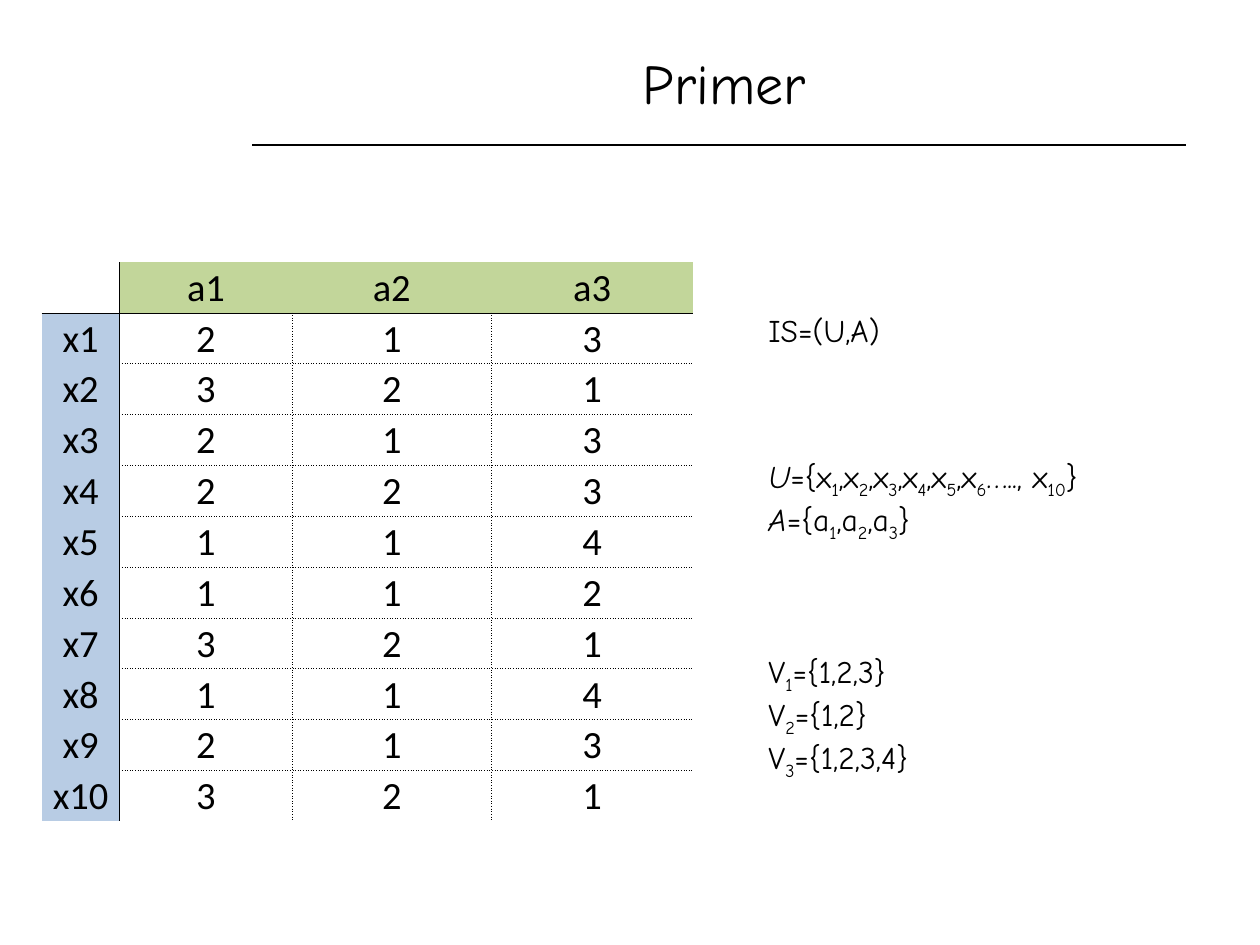
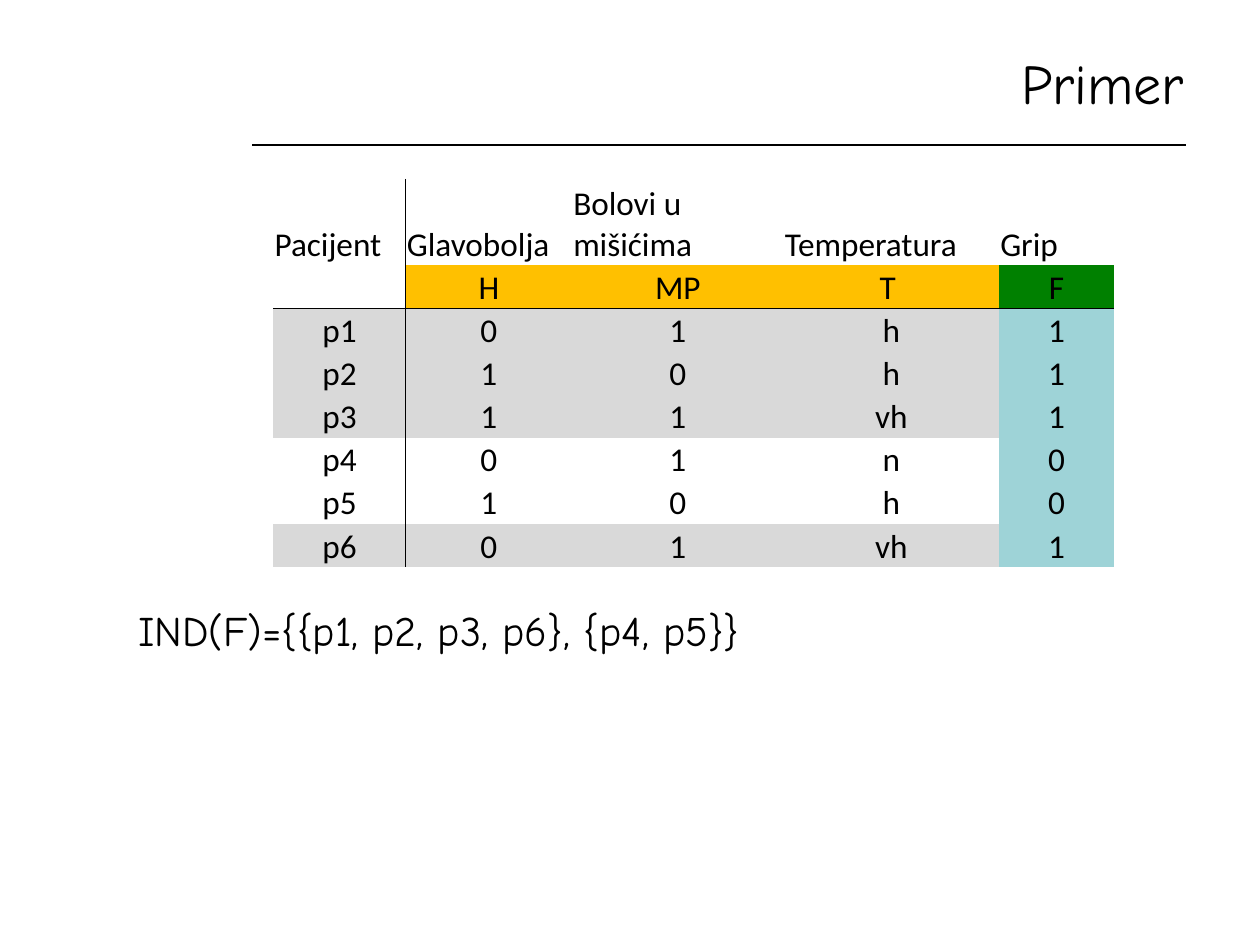
import lxml.etree
import pptx
import pptx.dml.color
import pptx.enum.shapes
import pptx.enum.text
import pptx.oxml.ns
import pptx.util

Inches, Pt = pptx.util.Inches, pptx.util.Pt
ALIGN, ANCHOR = pptx.enum.text.PP_ALIGN, pptx.enum.text.MSO_ANCHOR
qn = pptx.oxml.ns.qn

COLORS = {
    "ink": "000000", "attribute": "C2D69A", "object": "B8CCE4", "symptom": "FFC000",
    "decision": "008000", "sick": "D9D9D9", "flu": "9ED3D7",
}
HAND_FONT, TABLE_FONT = "Comic Neue", "Calibri"
PLAIN_TABLE = "{2D5ABB26-0587-4C30-8999-92F81FD0307C}"
TITLE_BOX = (2, 0.28, 7.5, 0.75)

SYSTEM = [
    ["", "a1", "a2", "a3"],
    *([f"x{number}", *values] for number, values in enumerate(
        ["213", "321", "213", "223", "114", "112", "321", "114", "213", "321"], 1)),
]
PATIENTS = [
    ["Pacijent", "Glavobolja", "Bolovi u mišićima", "Temperatura", "Grip"],
    ["", "H", "MP", "T ", "F"],
    ["p1", "0", "1", "h", "1"],
    ["p2", "1", "0", "h", "1"],
    ["p3", "1", "1", "vh", "1"],
    ["p4", "0", "1", "n", "0"],
    ["p5", "1", "0", "h", "0"],
    ["p6", "0", "1", "vh", "1"],
]
FORMULAS = [
    (0, "", "IS=(U,A)"),
    (62, "U", "={x_1_,x_2_,x_3_,x_4_,x_5_,x_6_….., x_10_}"),
    (0, "A", "={a_1_,a_2_,a_3_}"),
    (62, "", "V_1_={1,2,3}"),
    (0, "", "V_2_={1,2}"),
    (0, "", "V_3_={1,2,3,4}"),
]


def rgb(name):
    """Return the named colour."""
    return pptx.dml.color.RGBColor.from_string(COLORS[name])


def add_run(paragraph, text, size, font=HAND_FONT):
    """Add one formatted run and return it."""
    run = paragraph.add_run()
    run.text = text
    run.font.size, run.font.name = Pt(size), font
    run.font.color.rgb = rgb("ink")
    return run


def add_formula(paragraph, symbol, formula, size):
    """Write an italic symbol and a formula whose subscripts stand between underscores."""
    if symbol:
        add_run(paragraph, symbol, size).font.italic = True
    for index, part in enumerate(formula.split("_")):
        run = add_run(paragraph, part, size)
        if index % 2:
            run._r.get_or_add_rPr().set("baseline", "-25000")


def add_titled_slide(deck, align):
    """Add a slide with the shared title and the rule below it."""
    slide = deck.slides.add_slide(deck.slide_layouts[5])
    rule = slide.shapes.add_connector(
        pptx.enum.shapes.MSO_CONNECTOR.STRAIGHT,
        Inches(2), Inches(1.15), Inches(9.41), Inches(1.15))
    rule.line.color.rgb, rule.line.width = rgb("ink"), Pt(0.75)
    lxml.etree.SubElement(rule._element.spPr, qn("a:effectLst"))
    title = slide.shapes.title
    title.left, title.top, title.width, title.height = map(Inches, TITLE_BOX)
    title.text_frame.vertical_anchor = ANCHOR.MIDDLE
    heading = title.text_frame.paragraphs[0]
    heading.alignment = align
    add_run(heading, "Primer", 32)
    return slide


def set_borders(cell, dashes):
    """Draw the left, right, top and bottom edges that have a dash style."""
    properties = cell._tc.get_or_add_tcPr()
    for side, dash in zip("LRTB", dashes):
        edge = lxml.etree.SubElement(properties, qn(f"a:ln{side}"), w=str(Pt(0.5)))
        if not dash:
            lxml.etree.SubElement(edge, qn("a:noFill"))
            continue
        fill = lxml.etree.SubElement(edge, qn("a:solidFill"))
        lxml.etree.SubElement(fill, qn("a:srgbClr"), val=COLORS["ink"])
        lxml.etree.SubElement(edge, qn("a:prstDash"), val=dash)


def add_data_table(slide, box, rows, widths, units, size, anchor, headers, inner, fill_of, align_of):
    """Fill a table with solid header edges and the given inner edges."""
    table = slide.shapes.add_table(len(rows), len(widths), *map(Inches, box)).table
    table._tbl.tblPr.find(qn("a:tableStyleId")).text = PLAIN_TABLE
    table.first_row = table.horz_banding = False
    for column, width in zip(table.columns, widths):
        column.width = Inches(width)
    for row, unit in zip(table.rows, units):
        row.height = Inches(box[3] * unit / sum(units))

    def vertical(r, c):
        """Return the dash right of a cell."""
        if c == 0:
            return "solid"
        return inner if 0 < c < len(widths) - 1 and r >= headers else None

    def horizontal(r, c):
        """Return the dash below a cell."""
        if r == headers - 1:
            return "solid"
        return inner if headers <= r < len(rows) - 1 and c > 0 else None

    for r, values in enumerate(rows):
        for c, text in enumerate(values):
            cell = table.cell(r, c)
            cell.margin_left = cell.margin_right = cell.margin_top = Inches(0.01)
            cell.margin_bottom = 0
            cell.vertical_anchor = anchor
            set_borders(cell, (vertical(r, c - 1), vertical(r, c),
                               horizontal(r - 1, c), horizontal(r, c)))
            color = fill_of(r, c)
            if color:
                cell.fill.solid()
                cell.fill.fore_color.rgb = rgb(color)
            else:
                cell.fill.background()
            paragraph = cell.text_frame.paragraphs[0]
            paragraph.alignment = align_of(r)
            if text:
                add_run(paragraph, text, size, TABLE_FONT)


def add_formulas(slide, box, formulas, size):
    """Write one formula per paragraph, each with its space before."""
    frame = slide.shapes.add_textbox(*map(Inches, box)).text_frame
    frame.word_wrap = True
    for index, (space, symbol, formula) in enumerate(formulas):
        paragraph = frame.add_paragraph() if index else frame.paragraphs[0]
        paragraph.space_before = Pt(space)
        add_formula(paragraph, symbol, formula, size)


def system_fill(r, c):
    """Colour the attribute row and the object column."""
    if r == 0:
        return "attribute" if c else None
    return None if c else "object"


def patient_fill(r, c):
    """Colour the symbols, the decision column and the patients with flu."""
    if r == 0 or (r == 1 and c == 0):
        return None
    if c == 4:
        return "decision" if r == 1 else "flu"
    if r == 1:
        return "symptom"
    return "sick" if PATIENTS[r][4] == "1" else None


def add_system_slide(deck):
    """Show the information system and its sets."""
    slide = add_titled_slide(deck, ALIGN.CENTER)
    add_data_table(slide, (0.33, 2.08, 5.17, 4.44), SYSTEM, (0.62, 1.37, 1.58, 1.6),
                   [1] * len(SYSTEM), 22, ANCHOR.MIDDLE, 1, "sysDot", system_fill,
                   lambda r: ALIGN.CENTER)
    add_formulas(slide, (6, 2.42, 3.58, 3.74), FORMULAS, 18)


def add_patients_slide(deck):
    """Show the patients and the classes by decision."""
    slide = add_titled_slide(deck, ALIGN.RIGHT)
    add_data_table(slide, (2.17, 1.42, 6.67, 3.08), PATIENTS, (1.05, 1.32, 1.68, 1.71, 0.91),
                   [2] + [1] * (len(PATIENTS) - 1), 19, ANCHOR.BOTTOM, 2, None, patient_fill,
                   lambda r: ALIGN.CENTER if r else ALIGN.LEFT)
    add_formulas(slide, (1, 4.75, 8.41, 0.75),
                 [(4.8, "", "IND(F)={{p1, p2, p3, p6}, {p4, p5}}")], 24)


def main():
    """Build the deck."""
    deck = pptx.Presentation()
    deck.slide_width, deck.slide_height = Inches(10), Inches(7.5)
    add_system_slide(deck)
    add_patients_slide(deck)
    deck.save("out.pptx")


if __name__ == "__main__":
    main()
